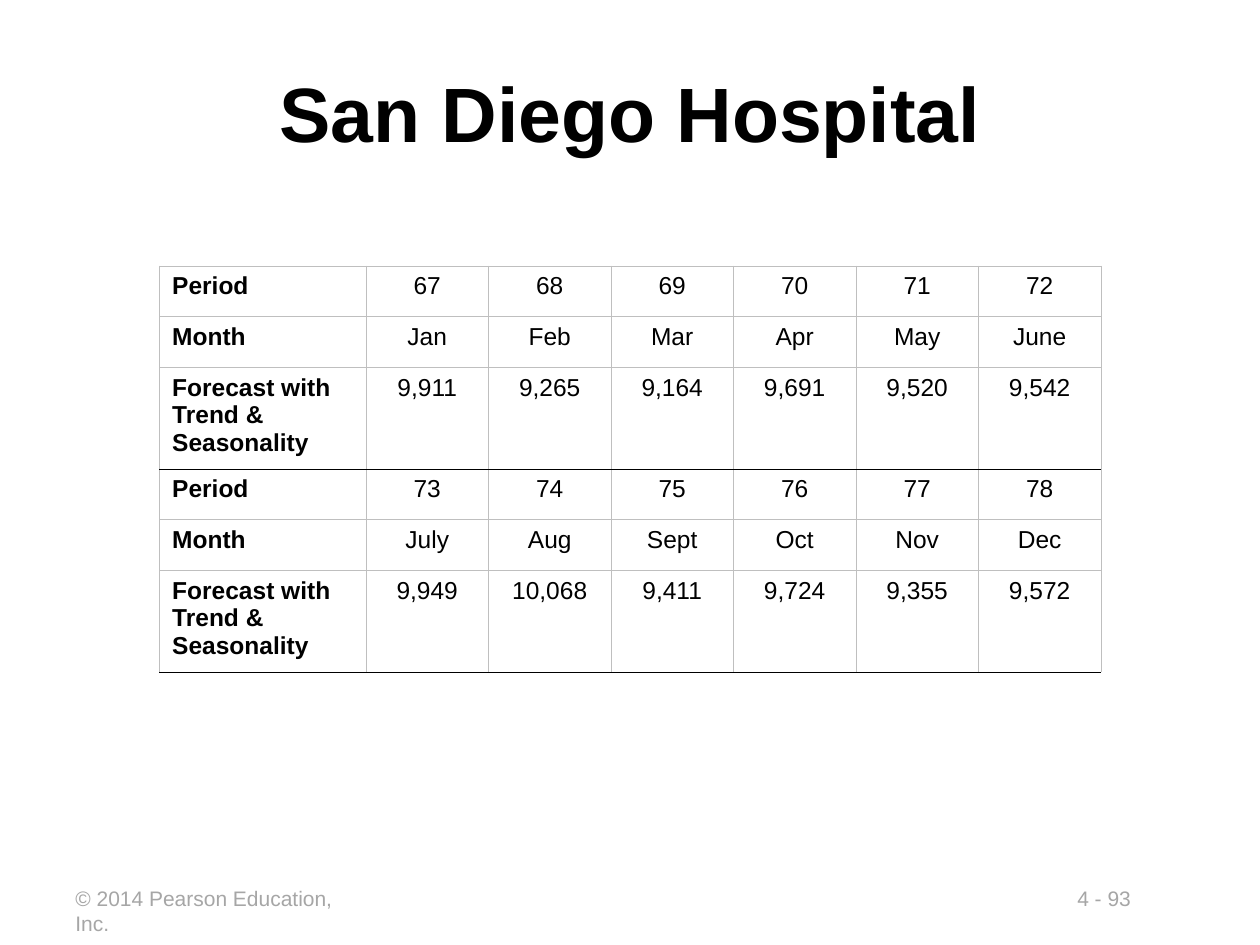
from dataclasses import dataclass

from lxml import etree
from pptx import Presentation
from pptx.dml.color import RGBColor
from pptx.enum.text import MSO_ANCHOR, PP_ALIGN
from pptx.oxml.ns import qn
from pptx.util import Pt

LEFT, CENTER = PP_ALIGN.LEFT, PP_ALIGN.CENTER
MIDDLE = MSO_ANCHOR.MIDDLE


@dataclass(frozen=True)
class Theme:
    face: str = "Arial"
    ink: str = "000000"
    pale: str = "A6A6A6"
    grid: str = "BFBFBF"
    head: int = 44
    cell: int = 14
    foot: int = 12


theme = Theme()


def style(para, size, color, bold=False, align=LEFT):
    para.alignment = align
    font = para.font
    font.name, font.size, font.bold = theme.face, Pt(size), bold
    font.color.rgb = RGBColor.from_string(color)


def edge(cell, side, color):
    """Draw one cell border; side is L, R, T or B."""
    props = cell._tc.get_or_add_tcPr()
    line = etree.SubElement(props, qn(f"a:ln{side}"), w=str(Pt(0.45)))
    fill = etree.SubElement(line, qn("a:solidFill"))
    etree.SubElement(fill, qn("a:srgbClr"), val=color)


deck = Presentation()
deck.slide_width, deck.slide_height = Pt(720), Pt(540)
slide = deck.slides.add_slide(deck.slide_layouts[5])

# Footer
for left, width, text in ((608.5, 86.5, "4 - 93"),
                          (36, 183.5, "© 2014 Pearson Education, Inc.")):
    box = slide.shapes.add_textbox(Pt(left), Pt(502.5), Pt(width), Pt(21.6))
    frame = box.text_frame
    frame.word_wrap = True
    frame.text = text
    style(frame.paragraphs[0], theme.foot, theme.pale)

# Title
title = slide.shapes.title
title.left, title.top = Pt(39.5), Pt(28)
title.width, title.height = Pt(641.5), Pt(71.5)
title.text_frame.text = "San Diego Hospital"
title.text_frame.vertical_anchor = MIDDLE
style(title.text_frame.paragraphs[0], theme.head, theme.ink, True, CENTER)

# Forecast table: two half years of three rows each
labels = ("Period", "Month", "Forecast with Trend & Seasonality")
halves = (
    (range(67, 73),
     ("Jan", "Feb", "Mar", "Apr", "May", "June"),
     ("9,911", "9,265", "9,164", "9,691", "9,520", "9,542")),
    (range(73, 79),
     ("July", "Aug", "Sept", "Oct", "Nov", "Dec"),
     ("9,949", "10,068", "9,411", "9,724", "9,355", "9,572")),
)
rows = [(label, *vals) for half in halves for label, vals in zip(labels, half)]
widths = [118] + [70] * 6
heights = [29, 29, 58] * 2

table = slide.shapes.add_table(len(rows), len(widths), Pt(91.2), Pt(152),
                               Pt(sum(widths)), Pt(sum(heights))).table
table.first_row = table.horz_banding = False
for col, width in zip(table.columns, widths):
    col.width = Pt(width)
for row, height in zip(table.rows, heights):
    row.height = Pt(height)

for r, row in enumerate(rows):
    top = theme.ink if r == 3 else theme.grid
    base = theme.ink if r % 3 == 2 else theme.grid
    for c, value in enumerate(row):
        cell = table.cell(r, c)
        cell.text = str(value)
        style(cell.text_frame.paragraphs[0], theme.cell, theme.ink,
              c == 0, CENTER if c else LEFT)
        for side, color in zip("LRTB", (theme.grid, theme.grid, top, base)):
            edge(cell, side, color)
        cell.fill.background()

deck.save("out.pptx")
